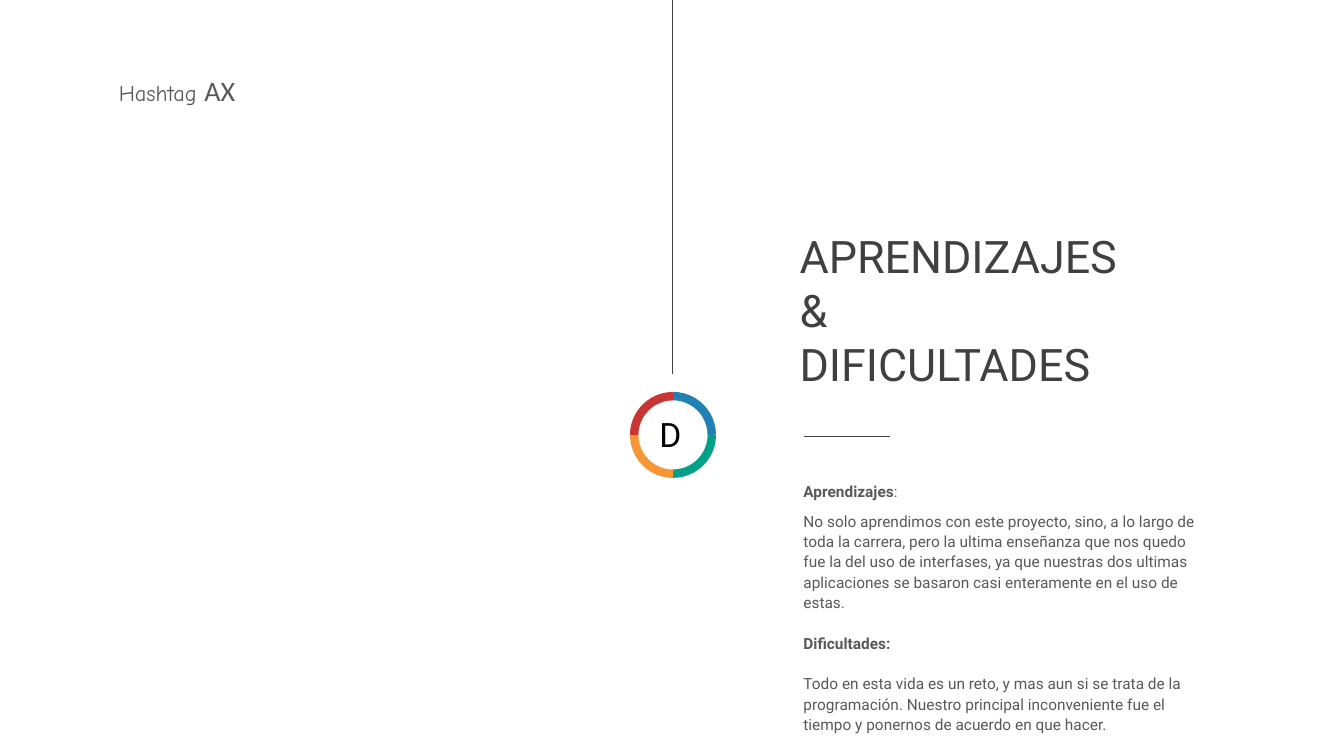
from lxml.etree import SubElement
from pptx import Presentation
from pptx.dml.color import RGBColor
from pptx.enum.shapes import MSO_CONNECTOR, MSO_SHAPE
from pptx.enum.text import MSO_ANCHOR, MSO_AUTO_SIZE, PP_ALIGN
from pptx.oxml.ns import qn
from pptx.util import Inches, Pt

COLORS = {
    "dark": "404040",
    "gray": "595959",
    "black": "000000",
    "blue": "2180B4",
    "green": "00A188",
    "orange": "F79636",
    "red": "C83532",
}


def style(font, size, color, name="Roboto", bold=False):
    font.size = Pt(size)
    font.name = name
    font.bold = bold
    font.color.rgb = RGBColor.from_string(COLORS[color])


def add_box(shapes, left, top, width, height, wrap=True):
    box = shapes.add_textbox(Inches(left), Inches(top), Inches(width), Inches(height))
    frame = box.text_frame
    frame.word_wrap = wrap
    frame.auto_size = MSO_AUTO_SIZE.SHAPE_TO_FIT_TEXT
    return frame


deck = Presentation()
deck.slide_width = Inches(13.33)
deck.slide_height = Inches(7.5)
slide = deck.slides.add_slide(deck.slide_layouts[5])
shapes = slide.shapes

for x1, y1, x2, y2 in [(6.67, 0, 6.67, 3.71), (7.97, 4.33, 8.83, 4.33)]:
    rule = shapes.add_connector(
        MSO_CONNECTOR.STRAIGHT, Inches(x1), Inches(y1), Inches(x2), Inches(y2)
    )
    rule.line.color.rgb = RGBColor.from_string(COLORS["dark"])
    rule.line.width = Pt(1)
    SubElement(rule._element.spPr, qn("a:effectLst"))

brand = add_box(shapes, 1.08, 0.68, 3.21, 0.44).paragraphs[0]
for text, size, name in [("Hashtag ", 16, "Comic Neue"), ("AX", 20, "Calibri")]:
    run = brand.add_run()
    run.text = text
    style(run.font, size, "gray", name)

title = shapes.title
title.left, title.top = Inches(7.83), Inches(2.22)
title.width, title.height = Inches(5.54), Inches(1.72)
frame = title.text_frame
frame.text = "APRENDIZAJES\n&\vDIFICULTADES"
frame.word_wrap = True
frame.auto_size = MSO_AUTO_SIZE.SHAPE_TO_FIT_TEXT
frame.vertical_anchor = MSO_ANCHOR.TOP
for para in frame.paragraphs:
    para.alignment = PP_ALIGN.LEFT
    style(para.font, 32, "dark")

lead = add_box(shapes, 7.87, 4.72, 3.13, 0.29).paragraphs[0]
lead.line_spacing = 1.1
for text, bold in [("Aprendizajes", True), (":", False)]:
    run = lead.add_run()
    run.text = text
    style(run.font, 11, "gray", bold=bold)

body = add_box(shapes, 7.87, 5.01, 4.15, 2.33)
texts = [
    "No solo aprendimos con este proyecto, sino, a lo largo de toda la carrera, "
    "pero la ultima enseñanza que nos quedo fue la del uso de interfases, ya que "
    "nuestras dos ultimas aplicaciones se basaron casi enteramente en el uso de estas.",
    "Dificultades:",
    "Todo en esta vida es un reto, y mas aun si se trata de la programación. "
    "Nuestro principal inconveniente fue el tiempo y ponernos de acuerdo en que hacer.",
]
body.text = "\n".join(texts)
for index, para in enumerate(body.paragraphs):
    para.line_spacing = 1.1
    para.space_before = Pt(14.5 if index else 0)
    style(para.font, 11, "gray", bold=index == 1)

badge = shapes.add_group_shape()
for turn, color in enumerate(["blue", "green", "orange", "red"]):
    arc = badge.shapes.add_shape(
        MSO_SHAPE.ARC, Inches(6.29), Inches(3.93), Inches(0.77), Inches(0.77)
    )
    arc.rotation = turn * 90
    arc.shadow.inherit = False
    arc.fill.background()
    arc.line.color.rgb = RGBColor.from_string(COLORS[color])
    arc.line.width = Pt(6)

letter = add_box(badge.shapes, 6.44, 4.06, 0.45, 0.5, wrap=False).paragraphs[0]
letter.text = "D"
style(letter.font, 24, "black")

deck.save("out.pptx")
